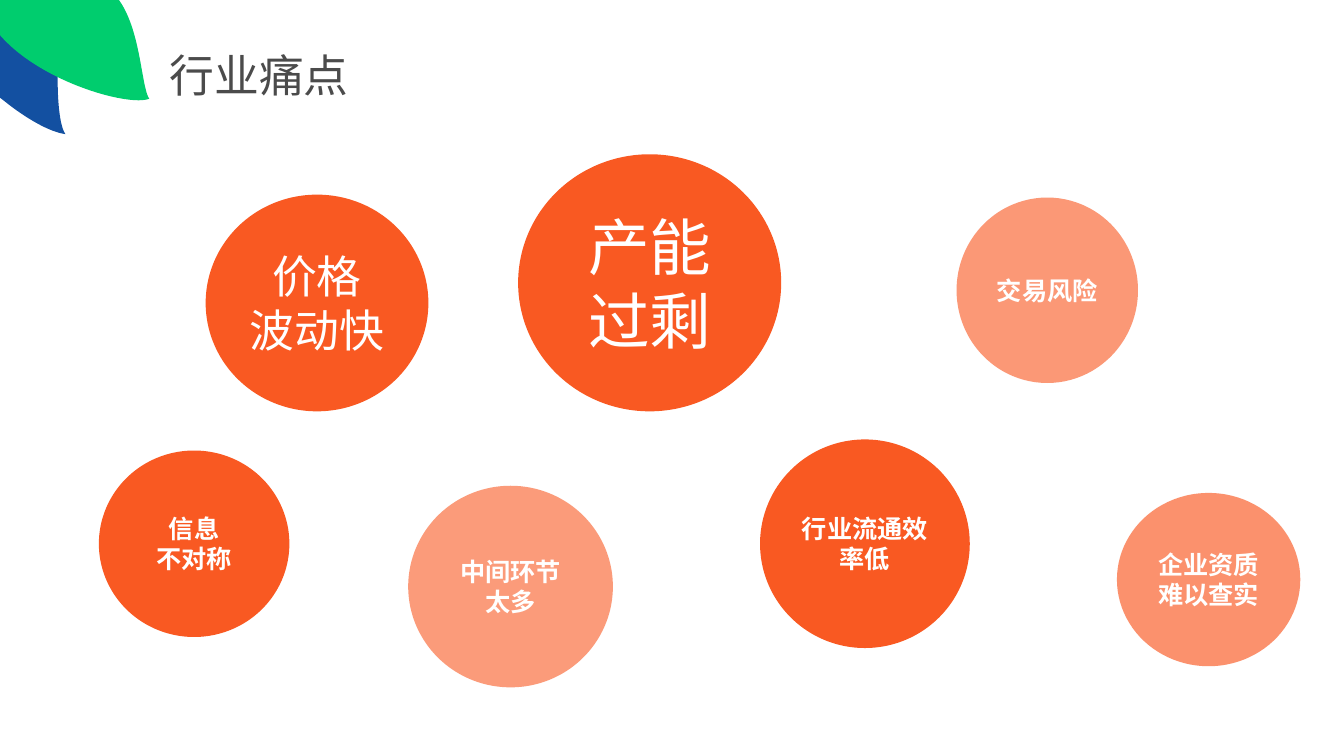
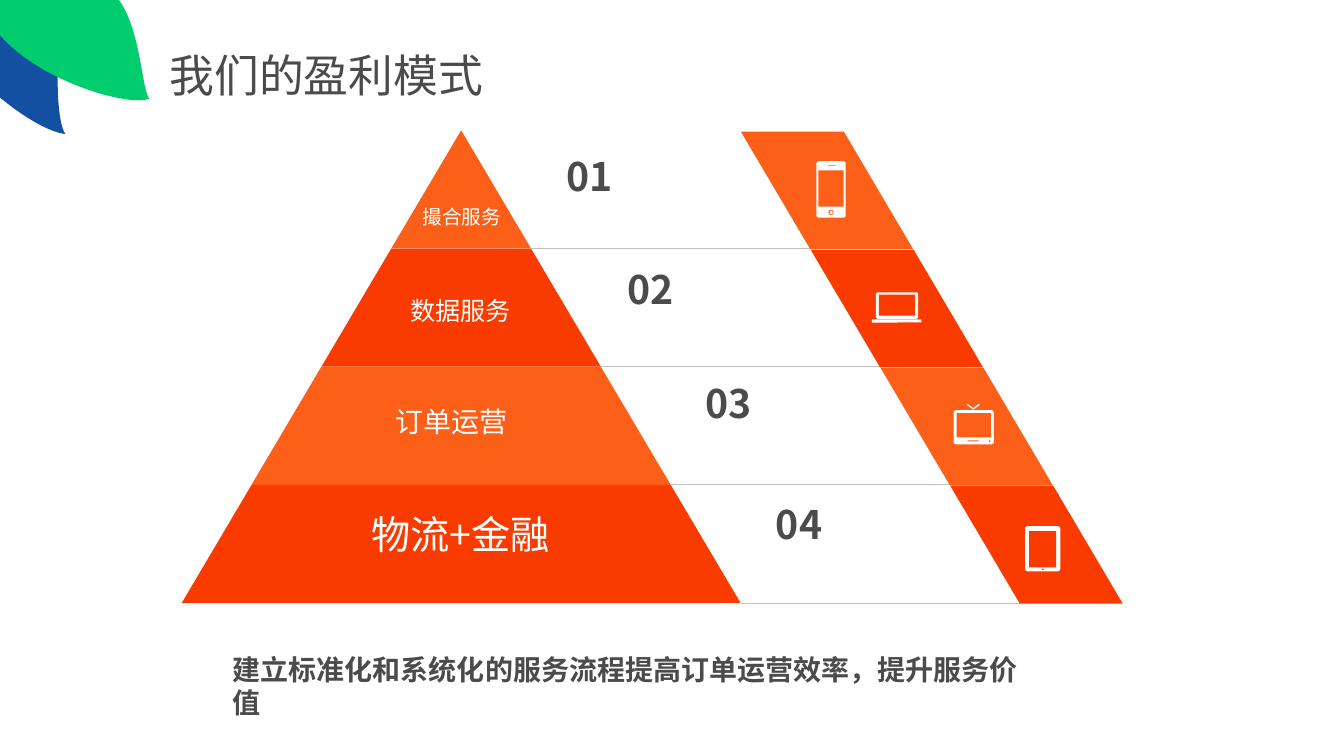
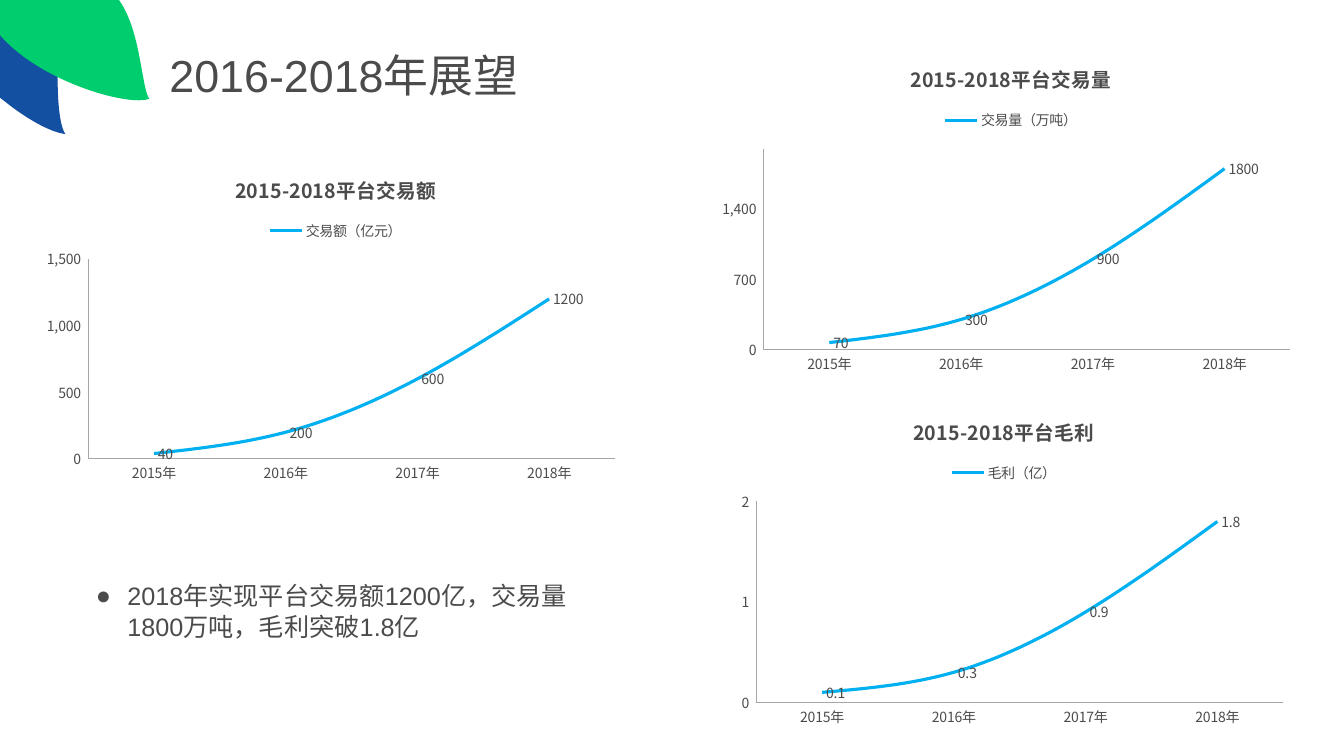
import dataclasses

import pptx
import pptx.chart.data
import pptx.dml.color
import pptx.enum.chart
import pptx.enum.shapes
import pptx.enum.text
import pptx.oxml.ns
import pptx.oxml.xmlchemy
import pptx.util

Pt = pptx.util.Pt
qn = pptx.oxml.ns.qn
SHAPE = pptx.enum.shapes.MSO_SHAPE
ALIGN = pptx.enum.text.PP_ALIGN
ANCHOR = pptx.enum.text.MSO_ANCHOR


@dataclasses.dataclass(frozen=True)
class Theme:
    ink: str = "4B4B4B"
    white: str = "FFFFFF"
    leaf_blue: str = "1350A1"
    leaf_green: str = "00CD6E"
    bubble: str = "F95922"
    level_light: str = "FB5F18"
    level_dark: str = "FA3B00"
    rule: str = "BFBFBF"
    axis: str = "A6A6A6"
    curve: str = "00B0F0"
    latin: str = "Arial"
    cjk: str = "Noto Sans CJK SC"
    title_size: int = 32
    number_size: int = 28
    summary_size: int = 20
    body_size: int = 18
    chart_title_size: int = 14
    chart_size: int = 10


THEME = Theme()

# Outlines: two numbers are a line end, six are a curve (two handles and an end).
LEAVES = [
    (THEME.leaf_blue, [(49.7, 0.7), (0, 20.2), (0, 69.8), (2.9, 72),
                       (18, 84.2, 35.3, 94.3, 46.8, 95.8),
                       (39.6, 87.1, 38.2, 29.5, 49.7, 0.7)]),
    (THEME.leaf_green, [(106.6, 70.6), (100.8, 61.9, 100.8, 22.3, 85, 0),
                        (0, 0), (0, 25.2), (29.5, 59, 92.2, 76.3, 106.6, 70.6)]),
]
TITLE_AREA = (113.8, 13, 657.4, 85)

# Lines, area, type size, bold, opacity in percent
BUBBLES = [
    (["信息", "不对称"], (70.6, 321.8, 136.1, 133.2), 18, True, 100),
    (["行业流通效率低"], (542.9, 313.9, 149.8, 149), 18, True, 100),
    (["企业资质", "难以查实"], (797.8, 352.1, 131, 123.8), 18, True, 66),
    (["交易风险"], (683.3, 141.1, 129.6, 132.5), 18, True, 62),
    (["产能过剩"], (370.1, 110.2, 187.9, 183.6), 44, False, 100),
    (["中间环节太多"], (291.6, 347, 146.2, 144), 18, True, 60),
    (["价格", "波动快"], (146.9, 139, 159.1, 154.8), 32, False, 100),
]

# Label, type size, label centre and top, number, number position
LEVELS = [
    ("撮合服务", 14, (329.8, 144.8), "01", (397.4, 108.7)),
    ("数据服务", 18, (329, 209.5), "02", (441.4, 190.1)),
    ("订单运营", 20, (322.6, 288), "03", (496.8, 271.4)),
    ("物流+金融", 28, (329, 365), "04", (547.2, 357.8)),
]
SUMMARY = "建立标准化和系统化的服务流程提高订单运营效率，提升服务价值"

# One device per level: preset, area, and whether it is white or a cut-out
BODY, SCREEN, DOT = SHAPE.ROUNDED_RECTANGLE, SHAPE.RECTANGLE, SHAPE.OVAL
DEVICES = [
    [(BODY, (583.2, 115.2, 20.9, 40.3), True),
     (SCREEN, (584.6, 121.7, 18, 25.9), False),
     (SCREEN, (591.1, 117.9, 5.8, 0.5), False),
     (DOT, (591.7, 149.8, 3.8, 3.8), False),
     (DOT, (592.6, 150.5, 2.2, 2.6), True)],
    [(BODY, (625.7, 208.8, 30.2, 18.9), True),
     (SCREEN, (627.8, 210.4, 25.9, 15.1), False),
     (BODY, (622.8, 228.2, 35.3, 2.2), True)],
    [(BODY, (681.1, 293, 28.8, 24.5), True),
     (SCREEN, (683.3, 295.2, 24.5, 17.3), False),
     (SCREEN, (691.2, 314.6, 7.9, 0.7), False),
     (DOT, (706.3, 314.6, 1.2, 1.2), False)],
    [(BODY, (732.2, 375.8, 25.2, 32.4), True),
     (SCREEN, (735.1, 379.4, 19.4, 25.9), False),
     (DOT, (744.4, 406.1, 1.2, 1.2), False)],
]
ANTENNA = [(690.5, 289.2), (691.4, 288.6), (695.2, 291.6),
           (699, 288.6), (699.9, 289.2), (695.2, 292.6)]

YEARS = ["2015年", "2016年", "2017年", "2018年"]
# Title, series, values, area, axis maximum, axis step
CHARTS = [
    ("2015-2018平台交易量", "交易量（万吨）", [70, 300, 900, 1800],
     (495.4, 33.1, 453.6, 252), 2000, 700),
    ("2015-2018平台交易额", "交易额（亿元）", [40, 200, 600, 1200],
     (13, 112.3, 453.6, 250.6), 1500, 500),
    ("2015-2018平台毛利", "毛利（亿）", [0.1, 0.3, 0.9, 1.8],
     (490.3, 285.1, 453.6, 252), 2, 1),
]
PLOT = {"x": 0.11, "y": 0.29, "w": 0.83, "h": 0.57}
OUTLOOK = "2018年实现平台交易额1200亿，交易量1800万吨，毛利突破1.8亿"


def rgb(colour):
    return pptx.dml.color.RGBColor.from_string(colour)


def lengths(area):
    return [Pt(value) for value in area]


def add_node(parent, tag, **attributes):
    """Append an XML element that python-pptx has no method for."""
    node = pptx.oxml.xmlchemy.OxmlElement(tag)
    for name, value in attributes.items():
        node.set(name, str(value))
    parent.append(node)
    return node


def place(shape, area):
    shape.left, shape.top, shape.width, shape.height = lengths(area)


def paint(shape, colour, opacity=100):
    """Fill without outline or shadow."""
    shape.shadow.inherit = False
    shape.line.fill.background()
    shape.fill.solid()
    shape.fill.fore_color.rgb = rgb(colour)
    if opacity < 100:
        tint = shape.element.spPr.find(qn("a:solidFill")).find(qn("a:srgbClr"))
        add_node(tint, "a:alpha", val=opacity * 1000)
    return shape


def write(frame, lines, size, font=THEME.latin, colour=THEME.ink, bold=False,
          align=ALIGN.LEFT, spacing=1.0):
    frame.word_wrap = True
    for index, line in enumerate(lines):
        para = frame.add_paragraph() if index else frame.paragraphs[0]
        para.alignment = align
        para.line_spacing = spacing
        para.space_before = Pt(0)
        span = para.add_run()
        span.text = line
        span.font.name = font
        span.font.size = Pt(size)
        span.font.bold = bold
        span.font.color.rgb = rgb(colour)
        add_node(span._r.get_or_add_rPr(), "a:ea", typeface=THEME.cjk)


def add_text(page, line, area, size, **style):
    box = page.shapes.add_textbox(*lengths(area))
    write(box.text_frame, [line], size, THEME.cjk, **style)


def add_preset(page, preset, area, colour, opacity=100):
    return paint(page.shapes.add_shape(preset, *lengths(area)), colour, opacity)


def flatten(outline, steps=24):
    """Turn curves into short straight pieces."""
    points = [outline[0]]
    for part in outline[1:]:
        if len(part) == 2:
            points.append(part)
            continue
        knots = [points[-1], part[:2], part[2:4], part[4:]]
        for step in range(1, steps + 1):
            t = step / steps
            weights = ((1 - t) ** 3, 3 * t * (1 - t) ** 2, 3 * t * t * (1 - t), t ** 3)
            points.append(tuple(sum(weight * knot[axis] for weight, knot in zip(weights, knots))
                                for axis in (0, 1)))
    return points


def add_outline(page, outline, colour):
    points = [tuple(lengths(point)) for point in flatten(outline)]
    builder = page.shapes.build_freeform(*points[0])
    builder.add_line_segments(points[1:], close=True)
    return paint(builder.convert_to_shape(), colour)


def add_rule(page, left, right, height):
    rule = page.shapes.add_connector(pptx.enum.shapes.MSO_CONNECTOR.STRAIGHT,
                                     *lengths((left, height, right, height)))
    rule.line.color.rgb = rgb(THEME.rule)
    rule.line.width = Pt(0.5)
    add_node(rule.element.spPr, "a:effectLst")


def add_page(deck, title, layout="Title Only"):
    page = deck.slides.add_slide(deck.slide_layouts.get_by_name(layout))
    write(page.shapes.title.text_frame, [title], THEME.title_size, spacing=0.9)
    return page


def dress_master(deck, page):
    """Set the title area and move the corner leaves behind every slide."""
    master = deck.slide_master
    title = master.placeholders[0]
    place(title, TITLE_AREA)
    title.text_frame.vertical_anchor = ANCHOR.MIDDLE
    for index, (colour, outline) in enumerate(LEAVES):
        leaf = add_outline(page, outline, colour)
        master.shapes.element.insert(2 + index, leaf.element)


def add_bubbles(page):
    for lines, area, size, bold, opacity in BUBBLES:
        bubble = add_preset(page, SHAPE.OVAL, area, THEME.bubble, opacity)
        bubble.text_frame.vertical_anchor = ANCHOR.MIDDLE
        write(bubble.text_frame, lines, size, colour=THEME.white, bold=bold,
              align=ALIGN.CENTER)


def add_pyramid(page):
    apex, top, height, slope = 329.4, 93.1, 84.4, 49.9
    rule_length, band_left, band_width = 199.4, 529.2, 123.1
    for row, (label, size, (centre, label_top), number, corner) in enumerate(LEVELS):
        colour = THEME.level_dark if row % 2 else THEME.level_light
        upper, lower = top + row * height, top + (row + 1) * height
        inner, outer = row * slope, (row + 1) * slope
        add_outline(page, [(apex - outer, lower), (apex - inner, upper),
                           (apex + inner, upper), (apex + outer, lower)], colour)
        add_rule(page, apex + outer, apex + outer + rule_length, lower)
        band = add_preset(page, SHAPE.PARALLELOGRAM,
                          (band_left + row * slope, upper + 0.9, band_width, height - 0.4),
                          colour)
        band.adjustments[0] = 0.59
        band.element.spPr.find(qn("a:xfrm")).set("flipH", "1")
        add_text(page, label, (centre - 84, label_top, 168, 43), size,
                 colour=THEME.white, align=ALIGN.CENTER, spacing=0.9)
        add_text(page, number, (*corner, 163.4, 42.5), THEME.number_size,
                 bold=True, spacing=0.9)
        for preset, area, is_white in DEVICES[row]:
            part = add_preset(page, preset, area, THEME.white if is_white else colour)
            if preset == BODY:
                part.adjustments[0] = 0.08
    add_outline(page, ANTENNA, THEME.white)


def style_font(font, size=THEME.chart_size, bold=False):
    font.name = THEME.cjk
    font.size = Pt(size)
    font.bold = bold
    font.color.rgb = rgb(THEME.ink)


def fix_plot(chart):
    """Pin the inner plot area to its share of the chart."""
    area = chart.element.find(".//" + qn("c:plotArea"))
    for old in area.findall(qn("c:layout")):
        area.remove(old)
    layout = pptx.oxml.xmlchemy.OxmlElement("c:layout")
    manual = add_node(layout, "c:manualLayout")
    settings = [("layoutTarget", "inner"), ("xMode", "edge"), ("yMode", "edge"), *PLOT.items()]
    for name, value in settings:
        add_node(manual, "c:" + name, val=value)
    area.insert(0, layout)


def add_line_chart(page, title, name, values, area, maximum, step):
    data = pptx.chart.data.CategoryChartData()
    data.categories = YEARS
    data.add_series(name, values)
    chart = page.shapes.add_chart(pptx.enum.chart.XL_CHART_TYPE.LINE,
                                  *lengths(area), data).chart
    style_font(chart.font)
    chart.has_title = True
    heading = chart.chart_title.text_frame.paragraphs[0].add_run()
    heading.text = title
    style_font(heading.font, THEME.chart_title_size, True)
    chart.has_legend = True
    chart.legend.position = pptx.enum.chart.XL_LEGEND_POSITION.TOP
    chart.legend.include_in_layout = False
    style_font(chart.legend.font)

    for axis in (chart.category_axis, chart.value_axis):
        axis.has_major_gridlines = False
        axis.major_tick_mark = axis.minor_tick_mark = pptx.enum.chart.XL_TICK_MARK.NONE
        axis.format.line.color.rgb = rgb(THEME.axis)
        axis.format.line.width = Pt(0.75)
        style_font(axis.tick_labels.font)
    scale = chart.value_axis
    scale.minimum_scale, scale.maximum_scale, scale.major_unit = 0, maximum, step
    scale.tick_labels.number_format = r"#,##0_);[Red]\(#,##0\)"
    scale.tick_labels.number_format_is_linked = False

    plot = chart.plots[0]
    plot.vary_by_categories = False
    series = plot.series[0]
    series.smooth = True
    series.format.line.color.rgb = rgb(THEME.curve)
    series.format.line.width = Pt(2.25)
    labels = series.data_labels
    labels.show_value = True
    labels.position = pptx.enum.chart.XL_LABEL_POSITION.RIGHT
    style_font(labels.font)
    fix_plot(chart)


def add_outlook(page):
    body = page.placeholders[1]
    place(body, (61.2, 411.1, 362.2, 50.4))
    body.text_frame.auto_size = pptx.enum.text.MSO_AUTO_SIZE.NONE
    write(body.text_frame, [OUTLOOK], THEME.body_size)
    settings = body.text_frame.paragraphs[0]._p.get_or_add_pPr()
    settings.set("marL", str(Pt(22.5)))
    settings.set("indent", str(-Pt(22.5)))
    add_node(settings, "a:buChar", char="●")


def main():
    deck = pptx.Presentation()
    deck.slide_width, deck.slide_height = Pt(960), Pt(540)

    pains = add_page(deck, "行业痛点")
    dress_master(deck, pains)
    add_bubbles(pains)

    profit = add_page(deck, "我们的盈利模式")
    add_pyramid(profit)
    add_text(profit, SUMMARY, (159.1, 462.2, 594.7, 33.1), THEME.summary_size, bold=True)

    outlook = add_page(deck, "2016-2018年展望", "Title and Content")
    add_outlook(outlook)
    for chart in CHARTS:
        add_line_chart(outlook, *chart)

    deck.save("out.pptx")


if __name__ == "__main__":
    main()
